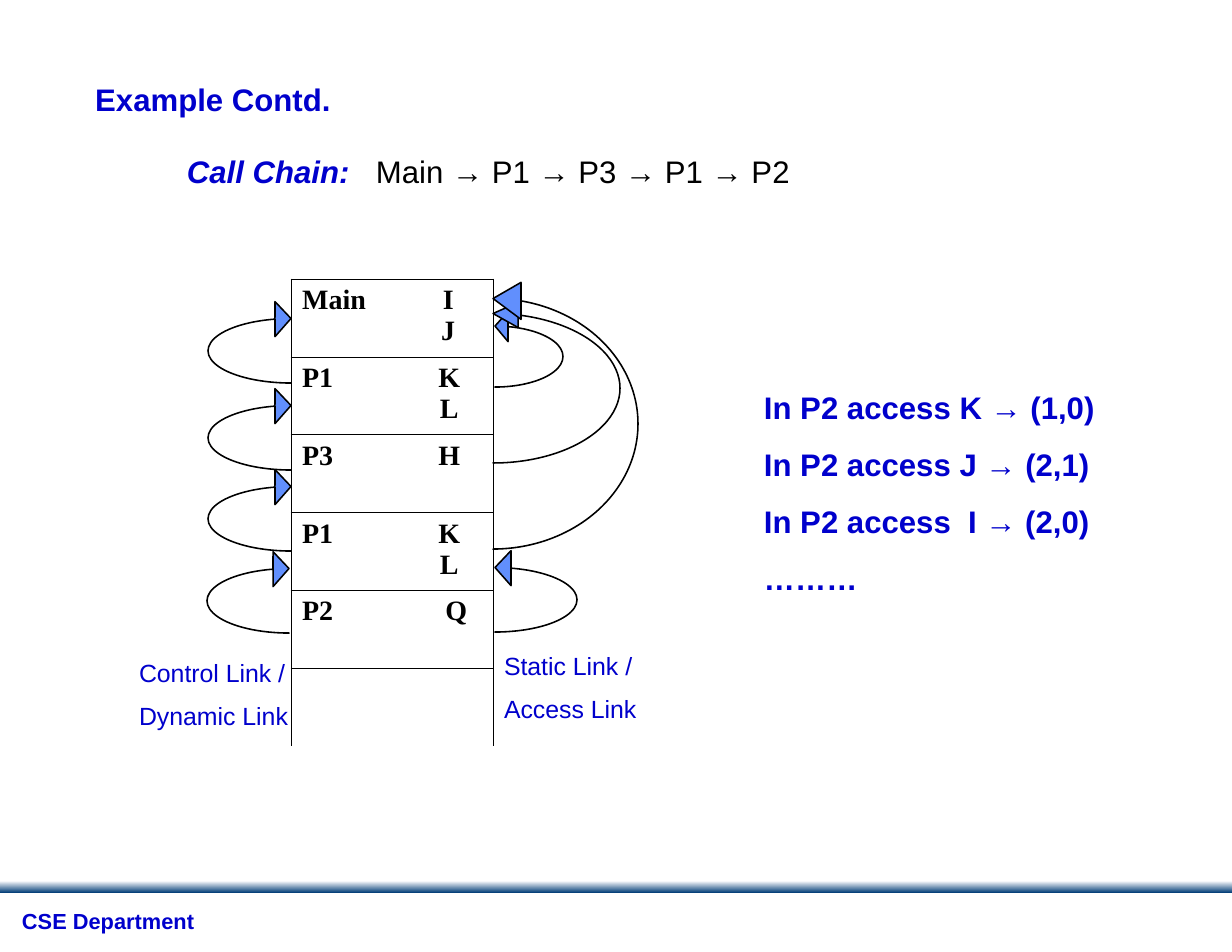
from dataclasses import dataclass

from lxml.etree import SubElement
from pptx import Presentation
from pptx.dml.color import RGBColor
from pptx.enum.shapes import MSO_SHAPE
from pptx.enum.text import MSO_ANCHOR, MSO_AUTO_SIZE, PP_ALIGN
from pptx.oxml.ns import qn
from pptx.util import Pt

SCALE = 914400 / 112


@dataclass(frozen=True)
class Theme:
    blue: str = "0000CC"
    black: str = "000000"
    white: str = "FFFFFF"
    navy: str = "003B76"
    arrow: str = "618FFD"
    sans: str = "Arial"
    serif: str = "Times New Roman"
    heading_size: int = 20
    frame_size: int = 18
    label_size: int = 16
    footer_size: int = 14
    border: float = 0.45
    outline: int = 1


THEME = Theme()

TITLE = "Example Contd."
FOOTER = "CSE Department"
CALL_CHAIN = [[("Call Chain:", {"bold": True, "italic": True}),
               ("\tMain → P1 → P3 → P1 → P2", {"color": THEME.black})]]
ACCESSES = ["In P2 access K → (1,0)", "In P2 access J → (2,1)",
            "In P2 access  I → (2,0)", "………"]
CONTROL_LABEL = ["Control Link /", "Dynamic Link"]
STATIC_LABEL = ["Static Link /", "Access Link"]
FRAMES = [(["Main\tI", "\tJ"], 146), (["P1\tK", "\tL"], 147), (["P3\tH"], 147),
          (["P1\tK", "\tL"], 147), (["P2\tQ"], 154), ([], 147)]

STACK_BOX = (291, 279, 202, 467)
CHAIN_TAB = 189

CONTROL_LINKS = [((208, 301, 83, 82), 16, 35), ((208, 388, 83, 82), 16, 35),
                 ((208, 469, 83, 82), 16, 35), ((207, 551, 82, 82), 16, 35)]
STATIC_LINKS = [((495, 550, 82, 82), 16, 35), ((495, 311, 68, 76), 13, 30),
                ((493, 301, 127, 162), 25, 25), ((493, 280, 145, 269), 28, 37)]


def px(length):
    return round(length * SCALE)


def rgb(color):
    return RGBColor.from_string(color)


def write_text(text_frame, paragraphs, *, size, color=THEME.blue, font=THEME.sans,
               bold=False, italic=False, space_before=0, line_spacing=1.0, tab=None):
    for index, content in enumerate(paragraphs):
        paragraph = text_frame.paragraphs[0] if index == 0 else text_frame.add_paragraph()
        paragraph.alignment = PP_ALIGN.LEFT
        paragraph.space_before = Pt(space_before)
        paragraph.line_spacing = line_spacing
        if tab:
            position, alignment = tab
            tabs = SubElement(paragraph._p.get_or_add_pPr(), qn("a:tabLst"))
            SubElement(tabs, qn("a:tab"), pos=str(px(position)), algn=alignment)
        runs = [(content, {})] if isinstance(content, str) else content
        for text, changes in runs:
            run = paragraph.add_run()
            run.text = text
            run.font.name = font
            run.font.size = Pt(size)
            run.font.bold = changes.get("bold", bold)
            run.font.italic = changes.get("italic", italic)
            run.font.color.rgb = rgb(changes.get("color", color))


def place_text(shape, box, paragraphs, **text_format):
    shape.left, shape.top, shape.width, shape.height = map(px, box)
    text_frame = shape.text_frame
    text_frame.word_wrap = True
    text_frame.auto_size = MSO_AUTO_SIZE.NONE
    text_frame.vertical_anchor = MSO_ANCHOR.TOP
    write_text(text_frame, paragraphs, **text_format)


def add_text(slide, box, paragraphs, **text_format):
    shape = slide.shapes.add_textbox(*map(px, box))
    place_text(shape, box, paragraphs, **text_format)


def add_footer_bar(slide):
    bar = slide.shapes.add_shape(MSO_SHAPE.RECTANGLE, 0, px(881), px(1232), px(12))
    bar.shadow.inherit = False
    bar.line.fill.background()
    bar.fill.gradient()
    bar.fill.gradient_angle = 270
    for stop, color in zip(bar.fill.gradient_stops, (THEME.white, THEME.navy)):
        stop.color.rgb = rgb(color)


def set_borders(cell, open_bottom):
    properties = cell._tc.get_or_add_tcPr()
    for index, side in enumerate("LRTB"):
        line = SubElement(properties, qn(f"a:ln{side}"), w=str(Pt(THEME.border)))
        properties.insert(index, line)
        if side == "B" and open_bottom:
            SubElement(line, qn("a:noFill"))
        else:
            fill = SubElement(line, qn("a:solidFill"))
            SubElement(fill, qn("a:srgbClr"), val=THEME.black)


def add_stack(slide):
    count = len(FRAMES)
    table = slide.shapes.add_table(count, 1, *map(px, STACK_BOX)).table
    table.first_row = False
    table.horz_banding = False
    for index, (lines, tab_position) in enumerate(FRAMES):
        cell = table.cell(index, 0)
        cell.fill.solid()
        cell.fill.fore_color.rgb = rgb(THEME.white)
        set_borders(cell, open_bottom=index == count - 1)
        write_text(cell.text_frame, lines, size=THEME.frame_size, color=THEME.black,
                   font=THEME.serif, bold=True, tab=(tab_position, "ctr"))


def add_links(slide, links, preset):
    for box, head_length, head_height in links:
        arrow = slide.shapes.add_shape(preset, *map(px, box))
        arrow.rotation = 180
        shorter_side = min(box[2:])
        arrow.adjustments[0] = 0
        arrow.adjustments[1] = head_height / shorter_side
        arrow.adjustments[2] = head_length / shorter_side
        arrow.shadow.inherit = False
        arrow.fill.solid()
        arrow.fill.fore_color.rgb = rgb(THEME.arrow)
        arrow.line.color.rgb = rgb(THEME.black)
        arrow.line.width = Pt(THEME.outline)


def main():
    presentation = Presentation()
    presentation.slide_width, presentation.slide_height = px(1232), px(952)
    slide = presentation.slides.add_slide(presentation.slide_layouts[5])

    heading = {"size": THEME.heading_size, "space_before": 12.5}
    label = {"size": THEME.label_size, "space_before": 10, "line_spacing": 0.9}

    add_footer_bar(slide)
    add_text(slide, (11, 905, 200, 36), [FOOTER], size=THEME.footer_size, bold=True,
             space_before=8.8, line_spacing=0.9)
    place_text(slide.shapes.title, (84, 79, 264, 45), [TITLE], bold=True,
               line_spacing=0.9, **heading)
    add_stack(slide)
    add_links(slide, CONTROL_LINKS, MSO_SHAPE.CURVED_LEFT_ARROW)
    add_text(slide, (176, 151, 634, 45), CALL_CHAIN, line_spacing=0.9,
             tab=(CHAIN_TAB, "l"), **heading)
    add_text(slide, (128, 656, 178, 81), CONTROL_LABEL, **label)
    add_links(slide, STATIC_LINKS, MSO_SHAPE.CURVED_RIGHT_ARROW)
    add_text(slide, (493, 649, 162, 81), STATIC_LABEL, **label)
    add_text(slide, (753, 383, 360, 220), ACCESSES, bold=True, **heading)

    presentation.save("out.pptx")


if __name__ == "__main__":
    main()
